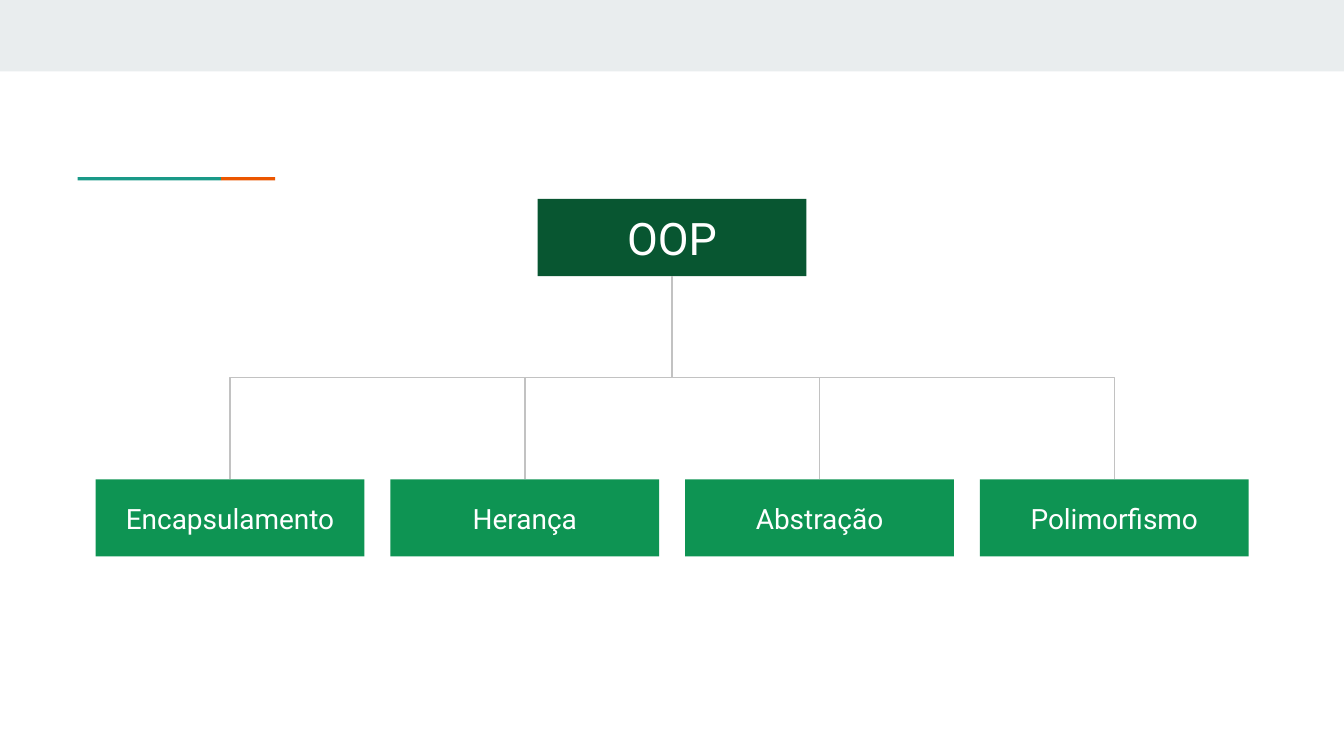
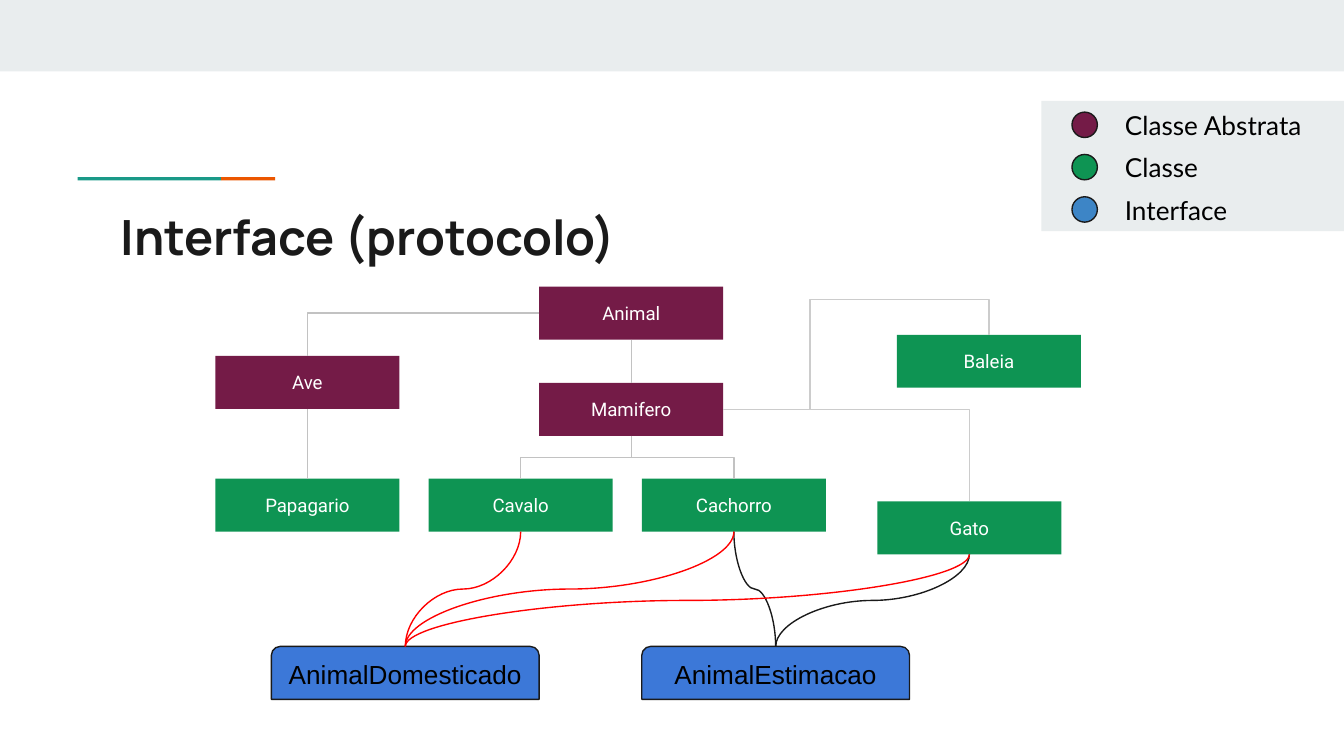
from dataclasses import dataclass

from lxml import etree
from pptx import Presentation
from pptx.dml.color import RGBColor
from pptx.enum.shapes import MSO_CONNECTOR, MSO_SHAPE
from pptx.enum.text import MSO_ANCHOR, MSO_AUTO_SIZE, PP_ALIGN
from pptx.oxml.ns import qn
from pptx.util import Cm, Pt

RECT, DOT, TAB = MSO_SHAPE.RECTANGLE, MSO_SHAPE.OVAL, MSO_SHAPE.ROUND_2_SAME_RECTANGLE
ELBOW, CURVE = MSO_CONNECTOR.ELBOW, MSO_CONNECTOR.CURVE
LEFT, CENTER = PP_ALIGN.LEFT, PP_ALIGN.CENTER
TOP, MIDDLE = MSO_ANCHOR.TOP, MSO_ANCHOR.MIDDLE


@dataclass(frozen=True)
class Theme:
    band: str = "E9EDEE"
    teal: str = "1A9988"
    orange: str = "EB5600"
    ink: str = "1A1A1A"
    black: str = "000000"
    white: str = "FFFFFF"
    root: str = "085631"
    green: str = "0E9453"
    plum: str = "741B47"
    blue: str = "3C78D8"
    legend_blue: str = "3D85C6"
    tree_line: str = "C2C2C2"
    side_line: str = "CCCCCC"
    red: str = "FF0000"
    title_size: int = 26
    root_size: int = 24
    pillar_size: int = 15
    class_size: int = 10
    label_size: int = 14
    line_width: float = 0.75


THEME = Theme()

# Content: lengths in centimetres
SLIDE_SIZE = (25.4, 14.29)
BANDS = [
    ((0, 0, 25.4, 1.35), THEME.band),
    ((1.47, 3.35, 2.71, 0.06), THEME.teal),
    ((4.18, 3.35, 1.02, 0.06), THEME.orange),
]

ROOT = "OOP"
PILLARS = ["Encapsulamento", "Herança", "Abstração", "Polimorfismo"]
PILLAR_SIZE = (5.08, 1.46)

TITLE = "Interface (protocolo)"
ROW_LEFT, ROW_TOP, ROW_STEP = 4.07, 9.05, 4.03
CLASS_SIZE = (3.48, 1)
INTERFACE_SIZE = (5.06, 1)
ABSTRACT_CLASSES = {
    "Animal": (10.19, 5.42),
    "Ave": (ROW_LEFT, 6.73),
    "Mamifero": (10.19, 7.24),
}
CLASSES = {
    name: (ROW_LEFT + i * ROW_STEP, ROW_TOP)
    for i, name in enumerate(["Papagario", "Cavalo", "Cachorro"])
} | {"Baleia": (16.95, 6.33), "Gato": (16.58, 9.48)}
INTERFACES = {"AnimalDomesticado": (5.13, 12.22), "AnimalEstimacao": (12.13, 12.22)}

INHERITANCE = [
    ("Animal", "Mamifero"),
    ("Ave", "Papagario"),
    ("Mamifero", "Cavalo"),
    ("Mamifero", "Cachorro"),
]
# parent, child, parent side, colour, bends, adjustments
SIDE_INHERITANCE = [
    ("Animal", "Ave", "left", THEME.tree_line, 2, ()),
    ("Mamifero", "Baleia", "right", THEME.side_line, 4, (0.327, 1.47)),
    ("Mamifero", "Gato", "right", THEME.side_line, 2, ()),
]
IMPLEMENTATIONS = [
    ("AnimalEstimacao", THEME.ink, ["Cachorro", "Gato"]),
    ("AnimalDomesticado", THEME.red, ["Cavalo", "Cachorro", "Gato"]),
]
LEGEND = [
    ("Classe Abstrata", THEME.plum),
    ("Classe", THEME.green),
    ("Interface", THEME.legend_blue),
]
LEGEND_PANEL = (19.68, 1.91, 5.72, 2.46)
LEGEND_STEP = 0.8


# Drawing helpers
def rgb(colour):
    return RGBColor.from_string(colour)


def write(shape, text, *, size, font, colour, bold=False, align=LEFT, anchor=MIDDLE):
    frame = shape.text_frame
    frame.word_wrap = True
    frame.auto_size = MSO_AUTO_SIZE.NONE
    frame.vertical_anchor = anchor
    frame.margin_left = frame.margin_right = Cm(0.25)
    frame.margin_top = frame.margin_bottom = Cm(0.25)
    paragraph = frame.paragraphs[0]
    paragraph.alignment = align
    run = paragraph.add_run()
    run.text = text
    run.font.size, run.font.name, run.font.bold = Pt(size), font, bold
    run.font.color.rgb = rgb(colour)


def add_box(slide, place, fill, kind=RECT, outline=None):
    box = slide.shapes.add_shape(kind, *map(Cm, place))
    box.shadow.inherit = False
    box.fill.solid()
    box.fill.fore_color.rgb = rgb(fill)
    if outline:
        box.line.color.rgb = rgb(outline)
        box.line.width = Pt(THEME.line_width)
    else:
        box.line.fill.background()
    return box


def add_node(slide, text, place, fill, size):
    node = add_box(slide, place, fill)
    write(node, text, size=size, font="Roboto", colour=THEME.white, align=CENTER)
    return node


def side_of(box, side):
    """Connection site number and point at the middle of a side."""
    sides = ["top", "left", "bottom", "right"]
    if box.auto_shape_type == TAB:
        sides = ["right", "bottom", "left", "top"]
    x = box.left + {"left": 0, "right": box.width}.get(side, box.width // 2)
    y = box.top + {"top": 0, "bottom": box.height}.get(side, box.height // 2)
    return sides.index(side), x, y


def link(slide, upper, lower, colour, kind=ELBOW, start="bottom", end="top",
         bends=3, adjustments=()):
    start_site, x1, y1 = side_of(upper, start)
    end_site, x2, y2 = side_of(lower, end)
    line = slide.shapes.add_connector(kind, 0, 0, 0, 0)
    line.begin_connect(upper, start_site)
    line.end_connect(lower, end_site)
    properties = line._element.spPr

    # A route that leaves downwards is a sideways one turned by 90 degrees
    if start == "bottom":
        mid_x, mid_y = (x1 + x2) // 2, (y1 + y2) // 2
        half_run, half_rise = (y2 - y1) // 2, (x1 - x2) // 2
        x1, x2 = mid_x - half_run, mid_x + half_run
        y1, y2 = mid_y - half_rise, mid_y + half_rise
        properties.find(qn("a:xfrm")).set("rot", str(90 * 60000))
    line.begin_x, line.begin_y, line.end_x, line.end_y = x1, y1, x2, y2

    geometry = properties.find(qn("a:prstGeom"))
    if kind == ELBOW:
        geometry.set("prst", f"bentConnector{bends}")
    for number, value in enumerate(adjustments, 1):
        guide = etree.SubElement(geometry.find(qn("a:avLst")), qn("a:gd"))
        guide.set("name", f"adj{number}")
        guide.set("fmla", f"val {round(value * 100000)}")
    line.line.color.rgb = rgb(colour)
    line.line.width = Pt(THEME.line_width)
    etree.SubElement(properties, qn("a:effectLst"))


def add_slide(deck, title=None):
    slide = deck.slides.add_slide(deck.slide_layouts[5 if title else 6])
    for place, colour in BANDS:
        add_box(slide, place, colour)
    if title:
        heading = slide.shapes.title
        heading.left, heading.top, heading.width, heading.height = map(
            Cm, (2.03, 3.66, 11.28, 1.57))
        write(heading, title, size=THEME.title_size, font="Manrope",
              colour=THEME.ink, bold=True, anchor=TOP)
    return slide


# Slides
def build_pillars(deck):
    slide = add_slide(deck)
    width = PILLAR_SIZE[0]
    root = add_node(slide, ROOT, ((SLIDE_SIZE[0] - width) / 2, 3.76, *PILLAR_SIZE),
                    THEME.root, THEME.root_size)
    margin, step = 1.81, 5.57
    for i, name in enumerate(PILLARS):
        pillar = add_node(slide, name, (margin + i * step, 9.06, *PILLAR_SIZE),
                          THEME.green, THEME.pillar_size)
        link(slide, root, pillar, THEME.tree_line)


def build_legend(slide):
    add_box(slide, LEGEND_PANEL, THEME.band)
    left, top = LEGEND_PANEL[:2]
    for i, (name, colour) in enumerate(LEGEND):
        row = top + i * LEGEND_STEP
        add_box(slide, (left + 0.58, row + 0.21, 0.48, 0.48), colour, DOT, THEME.ink)
        label = slide.shapes.add_textbox(
            *map(Cm, (left + 1.33, row + 0.05, 3.94, 0.81)))
        write(label, name, size=THEME.label_size, font="Lato", colour=THEME.black)


def build_interfaces(deck):
    slide = add_slide(deck, TITLE)
    nodes = {}
    for group, colour in ((ABSTRACT_CLASSES, THEME.plum), (CLASSES, THEME.green)):
        for name, corner in group.items():
            nodes[name] = add_node(slide, name, (*corner, *CLASS_SIZE),
                                   colour, THEME.class_size)
    for name, corner in INTERFACES.items():
        nodes[name] = add_box(slide, (*corner, *INTERFACE_SIZE), THEME.blue,
                              TAB, THEME.ink)
        write(nodes[name], name, size=THEME.label_size, font="Arial",
              colour=THEME.black, align=CENTER)

    for parent, child in INHERITANCE:
        link(slide, nodes[parent], nodes[child], THEME.tree_line)
    for parent, child, side, colour, bends, adjustments in SIDE_INHERITANCE:
        link(slide, nodes[parent], nodes[child], colour, start=side,
             bends=bends, adjustments=adjustments)
    for interface, colour, animals in IMPLEMENTATIONS:
        for animal in animals:
            link(slide, nodes[animal], nodes[interface], colour, CURVE)
    build_legend(slide)


def main():
    deck = Presentation()
    deck.slide_width, deck.slide_height = map(Cm, SLIDE_SIZE)
    build_pillars(deck)
    build_interfaces(deck)
    deck.save("out.pptx")


if __name__ == "__main__":
    main()
